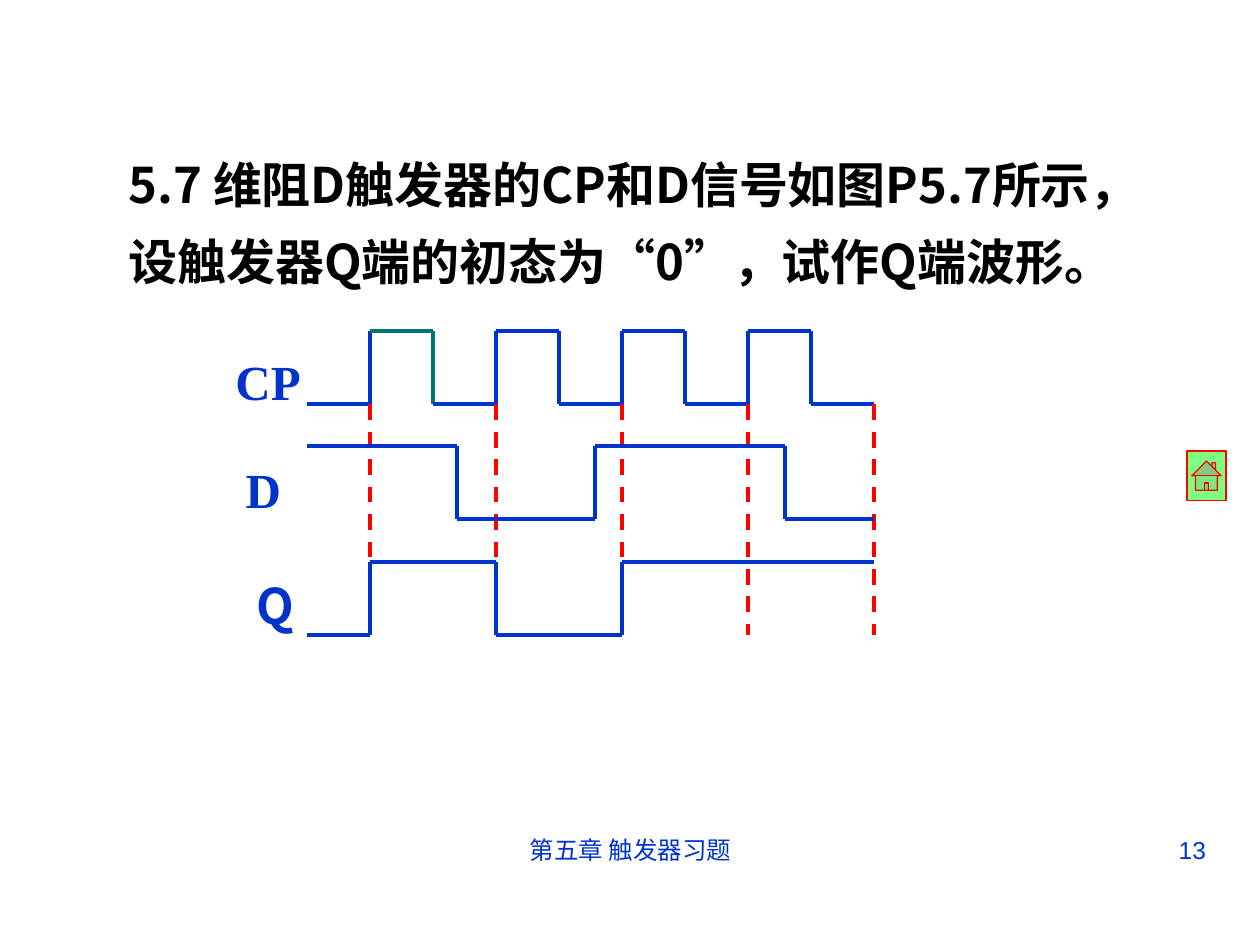
from itertools import pairwise

from lxml import etree
from pptx import Presentation
from pptx import util as u
from pptx.dml.color import RGBColor
from pptx.enum import dml, shapes, text
from pptx.oxml import ns

COLOURS = {"ink": "000000", "signal": "0033CC", "pulse": "007572",
           "guide": "FF0000", "button": "00FF00"}
SANS, SERIF, PLAIN = "Noto Sans CJK SC", "Times New Roman", "Arial"
HEAD = {"size": u.Pt(28), "bold": True}
FOOT = {"size": u.Pt(14), "name": PLAIN}


def colour(name):
    return RGBColor.from_string(COLOURS[name])


def add_text(page, place, words, style, ink="signal", **layout):
    box = page.shapes.add_textbox(*map(u.Inches, place))
    box.text_frame.word_wrap = True
    para = box.text_frame.paragraphs[0]
    for key, value in layout.items():
        setattr(para, key, value)
    span = para.add_run()
    span.text = words
    for key, value in style.items():
        setattr(span.font, key, value)
    span.font.color.rgb = colour(ink)
    east = etree.SubElement(span.font._element, ns.qn("a:ea"))
    east.set("typeface", SANS)


def add_line(page, start, end, ink="signal", dash=None):
    line = page.shapes.add_connector(
        shapes.MSO_CONNECTOR.STRAIGHT, *map(u.Inches, (*start, *end)))
    line.line.color.rgb = colour(ink)
    line.line.width = u.Pt(2.25)
    line.line.dash_style = dash
    etree.SubElement(line._element.spPr, ns.qn("a:effectLst"))


def add_wave(page, box, edges, starts_high=False, inks=()):
    """Draw a square wave in the box; edges are offsets from its left side."""
    left, top, width, height = box
    high = starts_high
    points = [(left, top if high else top + height)]
    for edge in edges:
        points.append((left + edge, points[-1][1]))
        high = not high
        points.append((left + edge, top if high else top + height))
    points.append((left + width, points[-1][1]))
    for index, (start, end) in enumerate(pairwise(points)):
        add_line(page, start, end, dict(inks).get(index, "signal"))


def add_timing(page, box):
    left, top, width, height = box
    level = 0.58
    d_top, q_top = top + 0.91, top + height - level

    # Signal names
    add_text(page, (left - 0.67, top - 0.03, 0.75, 0.71), "CP",
             HEAD | {"name": SERIF}, line_spacing=1.3)
    add_text(page, (left - 0.59, top + 0.97, 0.68, 0.57), "D",
             HEAD | {"name": SERIF})
    add_text(page, (left - 0.5, top + 1.75, 0.5, 0.71), "Q",
             HEAD | {"name": SANS}, line_spacing=1.3)

    # Clock, with the first pulse picked out
    add_wave(page, (left, top, width, level), [n / 2 for n in range(1, 9)],
             inks={2: "pulse", 3: "pulse"})

    # Guides at the rising clock edges
    for period in range(5):
        x = left + 0.5 + period
        add_line(page, (x, top + level), (x, top + height), "guide",
                 dml.MSO_LINE.DASH)

    # Output and input
    add_wave(page, (left, q_top, width, level), [0.5, 1.5, 2.5])
    add_wave(page, (left, d_top, width, level), [1.19, 2.28, 3.79],
             starts_high=True)


def add_home_button(page, box):
    button = page.shapes.add_shape(
        shapes.MSO_SHAPE.ACTION_BUTTON_HOME, *map(u.Inches, box))
    button.shadow.inherit = False
    button.fill.solid()
    button.fill.fore_color.rgb = colour("button")
    tint = button._element.spPr.find(".//" + ns.qn("a:srgbClr"))
    etree.SubElement(tint, ns.qn("a:alpha")).set("val", "50000")
    button.line.color.rgb = colour("guide")
    button.line.width = u.Pt(0.75)


def add_footer(page, top, height):
    add_text(page, (3.42, top, 3.17, height), "第五章 触发器习题", FOOT,
             alignment=text.PP_ALIGN.CENTER)
    add_text(page, (7.17, top, 2.5, height), "13", FOOT,
             alignment=text.PP_ALIGN.RIGHT)


def main():
    deck = Presentation()
    deck.slide_width, deck.slide_height = u.Inches(10), u.Inches(7.5)
    page = deck.slides.add_slide(deck.slide_layouts[6])
    add_text(page, (0.92, 1.04, 8.25, 1.92),
             "5.7 维阻D触发器的CP和D信号如图P5.7所示，设触发器Q端的初态为“0”，试作Q端波形。",
             HEAD | {"name": SANS}, "ink", line_spacing=1.3)
    add_timing(page, (2.44, 2.63, 4.5, 2.41))
    add_home_button(page, (9.42, 3.58, 0.31, 0.39))
    add_footer(page, 6.58, 0.52)
    deck.save("out.pptx")


if __name__ == "__main__":
    main()
